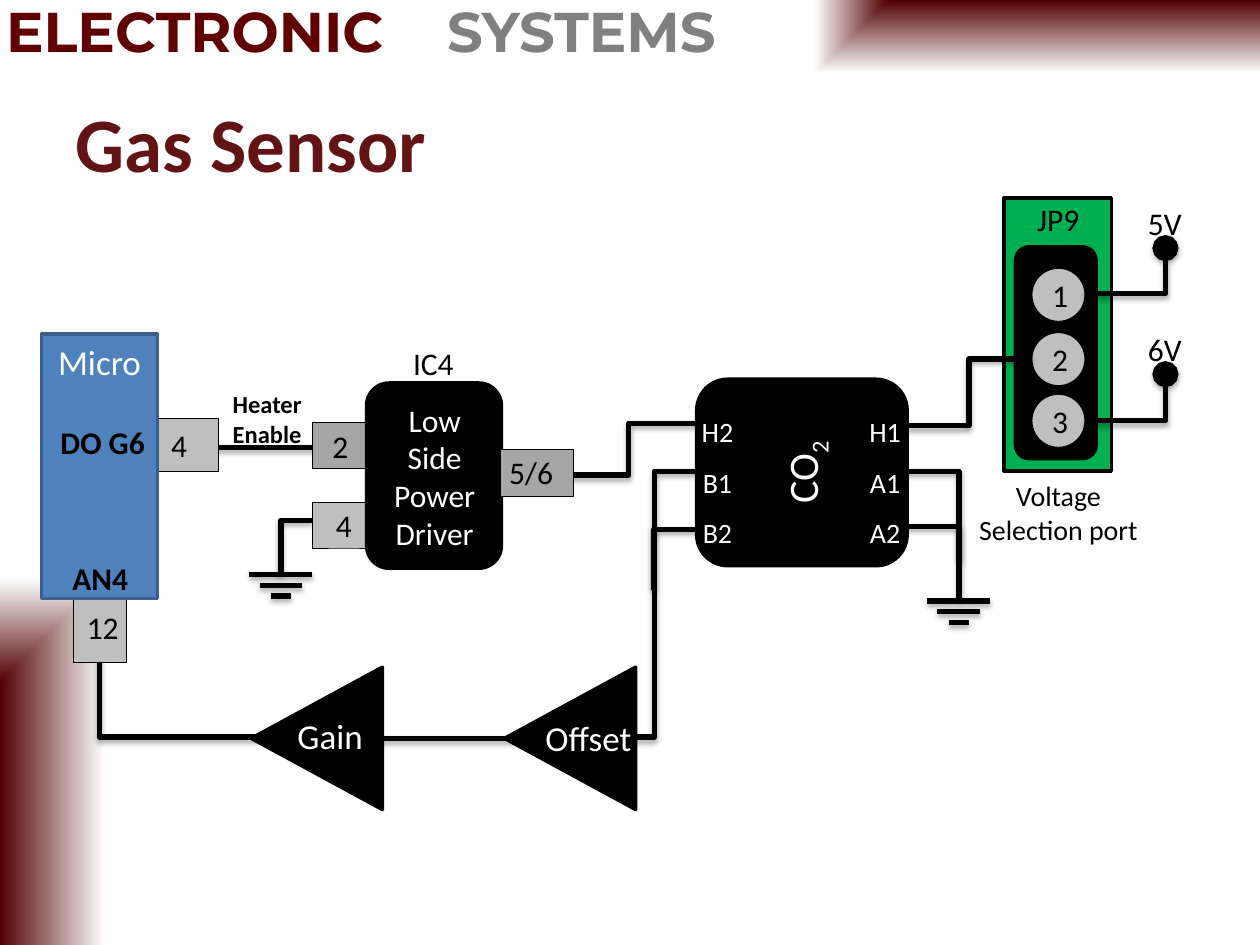
import pptx
import pptx.dml.color
import pptx.enum.shapes
import pptx.enum.text
import pptx.oxml
import pptx.oxml.ns
import pptx.util

Inches = pptx.util.Inches
SHAPE = pptx.enum.shapes.MSO_SHAPE
CONNECTOR = pptx.enum.shapes.MSO_CONNECTOR
ALIGN = pptx.enum.text.PP_ALIGN
ANCHOR = pptx.enum.text.MSO_ANCHOR
qn = pptx.oxml.ns.qn

COLORS = {
    "black": "000000", "white": "FFFFFF", "maroon": "500000",
    "brand": "600000", "title": "621414", "gray": "808080",
    "pin": "BFBFBF", "dark_pin": "A6A6A6", "blue": "4F81BD",
    "blue_edge": "3A5F8C", "green": "00B050",
}
NAMESPACE = 'xmlns:a="http://schemas.openxmlformats.org/drawingml/2006/main"'
WIRE_SHADOW = (
    f'<a:effectLst {NAMESPACE}><a:outerShdw blurRad="40000" dist="23000" dir="5400000" '
    'rotWithShape="0"><a:srgbClr val="000000"><a:alpha val="35000"/></a:srgbClr>'
    '</a:outerShdw></a:effectLst>'
)


def color(name):
    return pptx.dml.color.RGBColor.from_string(COLORS[name])


def lengths(values):
    return [Inches(value) for value in values]


def write_text(shape, text, size=18, fill="black", bold=False, font="Calibri",
               align=ALIGN.CENTER, anchor=ANCHOR.TOP, spacing=None, subscript=None):
    frame = shape.text_frame
    frame.word_wrap = True
    frame.vertical_anchor = anchor
    for index, line in enumerate(text.split("\n")):
        paragraph = frame.paragraphs[0] if index == 0 else frame.add_paragraph()
        paragraph.alignment = align
        paragraph.line_spacing = spacing
        for part in filter(None, (line, subscript)):
            run = paragraph.add_run()
            run.text = part
            run.font.size = pptx.util.Pt(size)
            run.font.name = font
            run.font.bold = bold
            run.font.color.rgb = color(fill)
            if part is subscript:
                run.font._element.set("baseline", "-25000")


def add_label(slide, box, text, rotation=0, **text_format):
    label = slide.shapes.add_textbox(*lengths(box))
    label.rotation = rotation
    write_text(label, text, **text_format)


def add_block(slide, kind, box, fill, edge="black", weight=2, rotation=0):
    block = slide.shapes.add_shape(kind, *lengths(box))
    block.shadow.inherit = False
    block.rotation = rotation
    block.fill.solid()
    block.fill.fore_color.rgb = color(fill)
    block.line.color.rgb = color(edge)
    block.line.width = pptx.util.Pt(weight)
    return block


def add_pin(slide, box, text="", fill="pin", kind=SHAPE.RECTANGLE, left_margin=0.1):
    pin = add_block(slide, kind, box, fill, weight=0.5)
    if text:
        pin.text_frame.margin_left = Inches(left_margin)
        write_text(pin, text, anchor=ANCHOR.MIDDLE)


def add_corner_fade(slide, box, **focus):
    fade = slide.shapes.add_shape(SHAPE.RECTANGLE, *lengths(box))
    fade.shadow.inherit = False
    fade.line.fill.background()
    fade.fill.gradient()
    for stop, name in zip(fade.fill.gradient_stops, ("maroon", "white")):
        stop.color.rgb = color(name)
    gradient = fade._element.spPr.find(qn("a:gradFill"))
    gradient.remove(gradient.find(qn("a:lin")))
    sides = " ".join(f'{side}="{value}"' for side, value in focus.items())
    gradient.append(pptx.oxml.parse_xml(
        f'<a:path {NAMESPACE} path="rect"><a:fillToRect {sides}/></a:path>'))


def add_wire(slide, start, end, bend=None, dot=False):
    """Straight wire, or an elbow that turns at the fraction bend of its width."""
    kind = CONNECTOR.STRAIGHT if bend is None else CONNECTOR.ELBOW
    wire = slide.shapes.add_connector(kind, *lengths((*start, *end)))
    wire.line.color.rgb = color("black")
    wire.line.width = pptx.util.Pt(3)
    properties = wire._element.spPr
    if bend is not None:
        geometry = properties.find(qn("a:prstGeom"))
        for guides in geometry.findall(qn("a:avLst")):
            geometry.remove(guides)
        geometry.append(pptx.oxml.parse_xml(
            f'<a:avLst {NAMESPACE}><a:gd name="adj1" fmla="val {round(bend * 100000)}"/></a:avLst>'))
    if dot:
        properties.find(qn("a:ln")).append(pptx.oxml.parse_xml(
            f'<a:tailEnd {NAMESPACE} type="oval" w="lg" len="lg"/>'))
    properties.append(pptx.oxml.parse_xml(WIRE_SHADOW))


def add_ground(slide, center, top):
    for row, half_width in enumerate((0.25, 0.17, 0.08)):
        y = top + row * 0.085
        add_wire(slide, (center - half_width, y), (center + half_width, y))


def add_header(slide):
    add_corner_fade(slide, (2.92, 0, 7.08, 1.17), l=100000, b=100000)
    add_corner_fade(slide, (0, 1.67, 1.67, 5.83), t=100000, r=100000)
    for left, width, text, fill in ((-0.05, 3.4, "ELECTRONIC", "brand"),
                                    (3.45, 2.7, "SYSTEMS", "gray")):
        add_label(slide, (left, -0.08, width, 0.64), text, size=32, fill=fill,
                  bold=True, font="Montserrat", align=ALIGN.LEFT)
    add_label(slide, (0.5, 0.5, 9, 1.25), "Gas Sensor", size=44, fill="title",
              bold=True, align=ALIGN.LEFT, anchor=ANCHOR.MIDDLE)


def add_wiring(slide):
    add_wire(slide, (2.13, 5.85), (0.79, 4.77), bend=1)       # gain to AN4
    add_wire(slide, (2.4, 5.86), (4.64, 5.86))                # offset to gain
    add_wire(slide, (5.53, 3.74), (4.18, 5.85), bend=0.25)    # B1 to offset
    add_wire(slide, (5.53, 4.2), (5.19, 4.68), bend=1)        # B2 joins B1
    add_wire(slide, (7.19, 3.74), (7.61, 4.75), bend=1)       # A1 to ground
    add_wire(slide, (7.19, 4.18), (7.61, 4.45), bend=1)       # A2 joins A1
    add_wire(slide, (4.44, 3.77), (5.69, 3.36), bend=0.44)    # driver to H2
    add_wire(slide, (1.57, 3.55), (2.67, 3.55))               # heater enable
    add_wire(slide, (2.48, 4.13), (2.23, 4.56), bend=1)       # driver to ground
    add_ground(slide, 7.61, 4.77)
    add_ground(slide, 2.23, 4.56)


def add_amplifiers(slide):
    for left, text, text_left, text_top in ((1.95, "Gain", 2.13, 5.62),
                                            (3.96, "Offset", 4.18, 5.64)):
        add_block(slide, SHAPE.ISOSCELES_TRIANGLE, (left, 5.34, 1.13, 1.04), "black", rotation=270)
        add_label(slide, (text_left, text_top, 0.98, 0.44), text, size=20, fill="white")


def add_controller(slide):
    add_pin(slide, (0.58, 4.47, 0.42, 0.79))
    add_label(slide, (0.59, 4.78, 0.52, 0.4), "12", align=ALIGN.LEFT)
    add_pin(slide, (0.94, 3.32, 0.79, 0.42), "4", left_margin=0.27)
    add_block(slide, SHAPE.RECTANGLE, (0.33, 2.65, 0.92, 2.1), "blue", edge="blue_edge")
    add_label(slide, (0.33, 2.65, 0.92, 0.44), "Micro", size=20, fill="white")
    add_label(slide, (0.33, 3.31, 0.97, 0.4), "DO G6", bold=True)
    add_label(slide, (0.44, 4.39, 0.71, 0.4), "AN4", bold=True)
    add_label(slide, (1.59, 3.04, 1.06, 0.57), "Heater\nEnable", size=14, bold=True)


def add_driver(slide):
    add_pin(slide, (2.48, 3.99, 0.5, 0.36), "4")
    add_pin(slide, (2.48, 3.35, 0.55, 0.37), fill="dark_pin")
    add_label(slide, (2.54, 3.34, 0.32, 0.4), "2")
    add_block(slide, SHAPE.ROUNDED_RECTANGLE, (2.91, 3.04, 1.07, 1.47), "black")
    add_pin(slide, (3.97, 3.57, 0.58, 0.37), fill="dark_pin")
    add_label(slide, (3.8, 3.55, 0.83, 0.4), "5/6")
    add_label(slide, (2.92, 2.68, 1.04, 0.4), "IC4")
    add_label(slide, (2.93, 3.13, 1.04, 1.31), "Low\nSide\nPower\nDriver", fill="white")


def add_sensor(slide):
    add_block(slide, SHAPE.ROUNDED_RECTANGLE, (5.53, 3.01, 1.67, 1.48), "black")
    for left, text in ((5.36, "H2\nB1\nB2"), (6.69, "H1\nA1\nA2")):
        add_label(slide, (left, 3.11, 0.67, 1.27), text, size=16, fill="white", spacing=1.5)
    add_label(slide, (5.9, 3.5, 0.92, 0.5), "CO", rotation=270, size=24,
              fill="white", subscript="2")


def add_voltage_port(slide):
    add_block(slide, SHAPE.RECTANGLE, (7.97, 1.57, 0.85, 2.17), "green")
    add_block(slide, SHAPE.ROUNDED_RECTANGLE, (8.06, 1.96, 0.64, 1.68), "black")
    for text, top in (("1", 2.13), ("2", 2.64), ("3", 3.13)):
        add_pin(slide, (8.19, top, 0.42, 0.42), text, kind=SHAPE.OVAL)
    add_label(slide, (7.98, 1.54, 0.84, 0.4), "JP9")
    add_label(slide, (7.44, 3.75, 1.92, 0.64), "Voltage\nSelection port", size=16)
    for text, label_top, wire_y in (("5V", 1.57, 2.33), ("6V", 2.57, 3.34)):
        add_label(slide, (8.94, label_top, 0.61, 0.4), text)
        add_wire(slide, (8.61, wire_y), (9.25, label_top + 0.4), bend=1, dot=True)
    add_wire(slide, (7.19, 3.38), (8.19, 2.85), bend=0.5)     # H1 to pin 2


def main():
    presentation = pptx.Presentation()
    presentation.slide_width = Inches(10)
    presentation.slide_height = Inches(7.5)
    slide = presentation.slides.add_slide(presentation.slide_layouts[6])
    add_header(slide)
    add_wiring(slide)
    add_amplifiers(slide)
    add_controller(slide)
    add_driver(slide)
    add_sensor(slide)
    add_voltage_port(slide)
    presentation.save("out.pptx")


if __name__ == "__main__":
    main()
